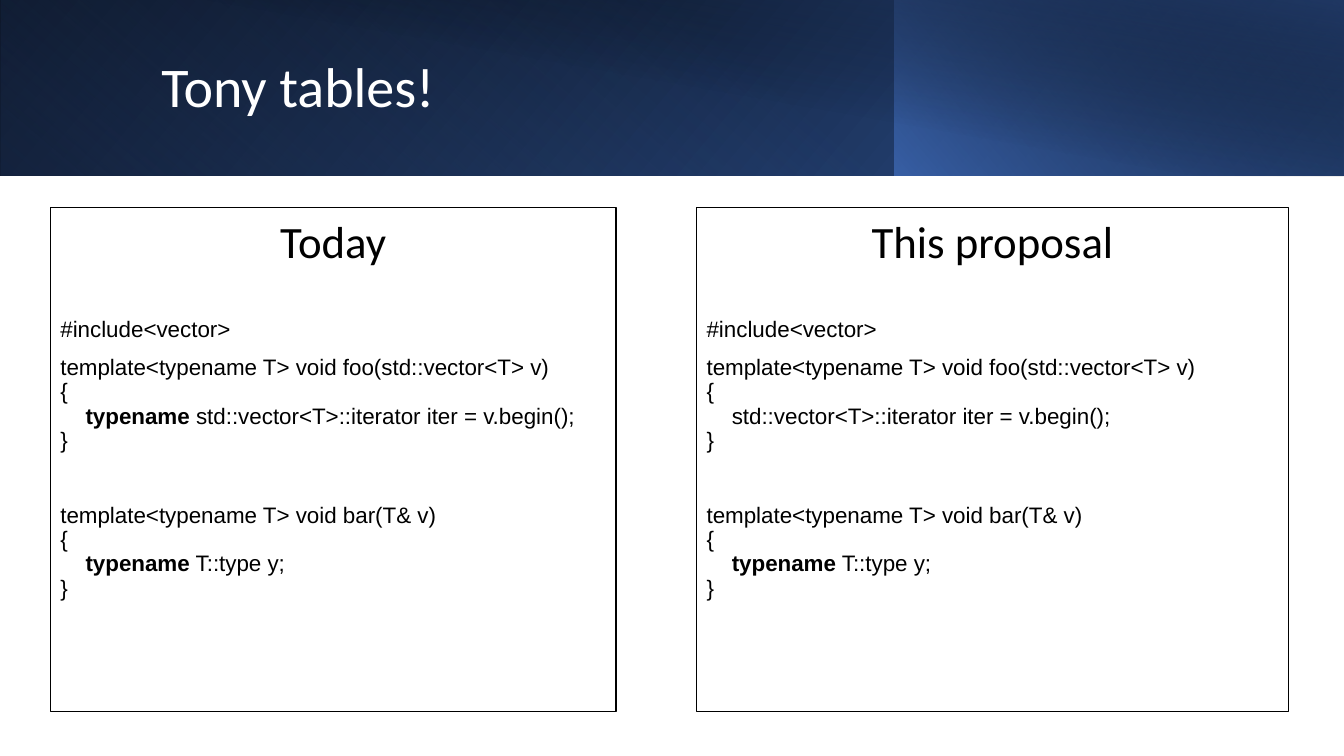
from lxml.etree import SubElement
from pptx import Presentation
from pptx.dml.color import RGBColor
from pptx.enum.shapes import MSO_SHAPE
from pptx.enum.text import MSO_ANCHOR, MSO_AUTO_SIZE, PP_ALIGN
from pptx.oxml.ns import qn
from pptx.util import Inches, Pt

TITLE = "Tony tables!"

# Code line: (space before in points, indented, [(text, bold), ...])
INCLUDE = [(0, False, [("#include<vector>", False)])]
OPEN_BRACE = (0, False, [("{", False)])
CLOSE_BRACE = (0, False, [("}", False)])
ITERATOR = ("std::vector<T>::iterator iter = v.begin();", False)


def function(gap, signature, body):
    return [(gap, False, [(signature, False)]), OPEN_BRACE, (0, True, body), CLOSE_BRACE]


def foo(body):
    return function(10, "template<typename T> void foo(std::vector<T> v)", body)


BAR = function(36.6, "template<typename T> void bar(T& v)",
               [("typename", True), (" T::type y;", False)])

# Heading, heading width, panel left, panel width, code
PANELS = [
    ("Today", 1.27, 0.5, 5.61, INCLUDE + foo([("typename ", True), ITERATOR]) + BAR),
    ("This proposal", 2.63, 6.91, 5.87, INCLUDE + foo([ITERATOR]) + BAR),
]
PANEL_TOP, PANEL_HEIGHT = 2.06, 5
HEADING_TOP, HEADING_HEIGHT = 2.07, 0.64

# Banner layer: left, width, height, rotation, flipped, angle,
# stops as (position %, colour, opacity %)
BANNER = [
    (0, 13.33, 1.74, 0, True, 140, [(0, "000000", 100), (100, "2F5597", 100)]),
    (0, 8.88, 1.74, 180, True, 230, [(20, "4472C4", 0), (100, "203864", 55)]),
    (8.87, 4.46, 1.74, 0, True, 220, [(0, "4472C4", 66), (100, "000000", 30)]),
    (0.5, 12.83, 1.75, 0, False, 280, [(50, "000000", 0), (99, "203864", 52)]),
]


def color(hex_string):
    return RGBColor.from_string(hex_string)


def add_run(paragraph, text, size, font, hex_string, bold=False):
    run = paragraph.add_run()
    run.text = text
    run.font.size = Pt(size)
    run.font.name = font
    run.font.bold = bold
    run.font.color.rgb = color(hex_string)


def add_banner_layer(slide, left, width, height, rotation, flipped, angle, stops):
    layer = slide.shapes.add_shape(MSO_SHAPE.RECTANGLE, Inches(left), 0,
                                   Inches(width), Inches(height))
    layer.shadow.inherit = False
    layer.line.fill.background()
    layer.rotation = rotation
    properties = layer.fill._xPr
    if flipped:
        properties.find(qn("a:xfrm")).set("flipH", "1")
    # Gradient with opacity per stop
    layer.fill.gradient()
    gradient = properties.find(qn("a:gradFill"))
    for child in list(gradient):
        gradient.remove(child)
    stop_list = SubElement(gradient, qn("a:gsLst"))
    for position, hex_string, opacity in stops:
        stop = SubElement(stop_list, qn("a:gs"), pos=str(position * 1000))
        stop_color = SubElement(stop, qn("a:srgbClr"), val=hex_string)
        if opacity < 100:
            SubElement(stop_color, qn("a:alpha"), val=str(opacity * 1000))
    SubElement(gradient, qn("a:lin"), ang=str(angle * 60000), scaled="0")


def add_code_panel(slide, left, width, code):
    panel = slide.shapes.add_textbox(Inches(left), Inches(PANEL_TOP),
                                     Inches(width), Inches(PANEL_HEIGHT))
    panel.line.color.rgb = color("000000")
    panel.line.width = Pt(0.75)
    frame = panel.text_frame
    frame.word_wrap = True
    frame.vertical_anchor = MSO_ANCHOR.MIDDLE
    for index, (gap, indented, runs) in enumerate(code):
        line = frame.add_paragraph() if index else frame.paragraphs[0]
        line.line_spacing = 0.9
        line.space_before = Pt(gap)
        if indented:
            line._p.get_or_add_pPr().set("marL", str(Inches(0.25)))
        for text, bold in runs:
            add_run(line, text, 16, "Arial", "000000", bold)


def add_heading(slide, text, center, width):
    heading = slide.shapes.add_textbox(Inches(center - width / 2), Inches(HEADING_TOP),
                                       Inches(width), Inches(HEADING_HEIGHT))
    heading.text_frame.word_wrap = False
    heading.text_frame.auto_size = MSO_AUTO_SIZE.SHAPE_TO_FIT_TEXT
    paragraph = heading.text_frame.paragraphs[0]
    paragraph.alignment = PP_ALIGN.CENTER
    add_run(paragraph, text, 32, "Calibri", "000000")


def main():
    deck = Presentation()
    deck.slide_width, deck.slide_height = Inches(13.33), Inches(7.5)
    slide = deck.slides.add_slide(deck.slide_layouts[5])

    # Banner
    for layer in BANNER:
        add_banner_layer(slide, *layer)

    # Title, brought in front of the banner
    title = slide.shapes.title
    title.left, title.top = Inches(1.5), Inches(0.32)
    title.width, title.height = Inches(10.82), Inches(1.13)
    title.text_frame.auto_size = MSO_AUTO_SIZE.NONE
    title.text_frame.vertical_anchor = MSO_ANCHOR.MIDDLE
    paragraph = title.text_frame.paragraphs[0]
    paragraph.alignment = PP_ALIGN.LEFT
    paragraph.line_spacing = 0.9
    add_run(paragraph, TITLE, 40, "Calibri", "FFFFFF")
    slide.shapes._spTree.append(title._element)

    # Code panels with their headings
    for heading, heading_width, left, width, code in PANELS:
        add_code_panel(slide, left, width, code)
        add_heading(slide, heading, left + width / 2, heading_width)

    deck.save("out.pptx")


if __name__ == "__main__":
    main()
